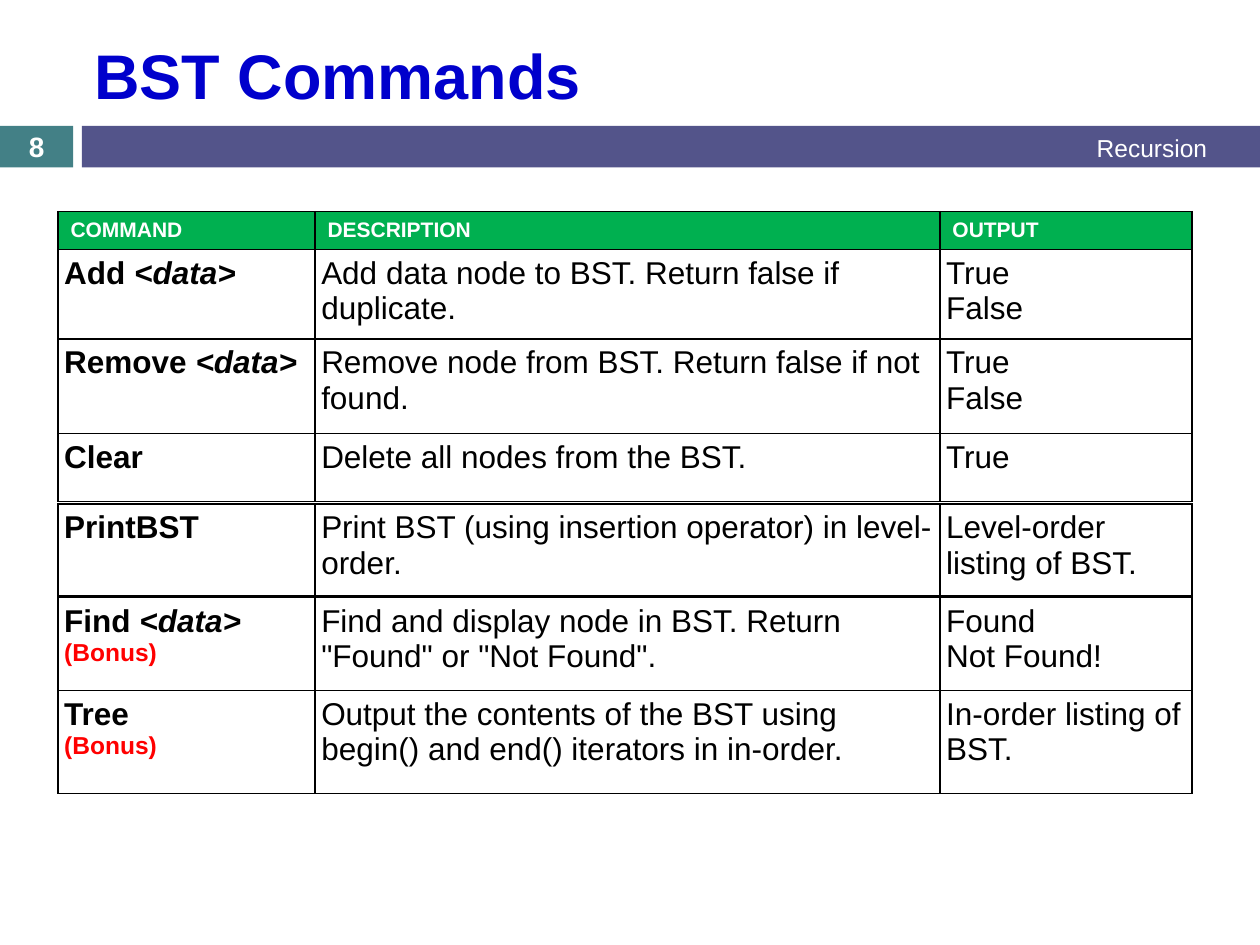
from dataclasses import dataclass

from lxml import etree
from pptx import Presentation
from pptx.dml.color import RGBColor
from pptx.enum import shapes, text
from pptx.oxml import ns
from pptx.util import Inches, Pt


@dataclass(frozen=True)
class Theme:
    """Colours, type sizes and font of the slide."""
    font: str = "Arial"
    title: str = "0000CC"
    teal: str = "438086"
    indigo: str = "53548A"
    green: str = "00B050"
    white: str = "FFFFFF"
    black: str = "000000"
    red: str = "FF0000"
    title_size: int = 36
    body_size: int = 18
    number_size: int = 16
    small_size: int = 14
    header_size: int = 12


THEME = Theme()
COLUMNS = (2.04, 4.96, 2)
HEADINGS = ("COMMAND", "DESCRIPTION", "OUTPUT")
HEADER_HEIGHT = 0.29
# top, row height, command, argument, note, description, output
COMMANDS = (
    (1.68, 0.72, "Add ", "<data>", "",
     "Add data node to BST. Return false if duplicate.", "True \nFalse"),
    (2.69, 0.75, "Remove ", "<data>", "",
     "Remove node from BST. Return false if not found.", "True \nFalse"),
    (3.44, 0.54, "Clear", "", "", "Delete all nodes from the BST.", "True"),
    (4, 0.73, "PrintBST", "", "",
     "Print BST (using insertion operator) in level-order.",
     "Level-order listing of BST."),
    (4.74, 0.74, "Find ", "<data>", "(Bonus)",
     'Find and display node in BST. Return "Found" or "Not Found".',
     "Found \nNot Found!"),
    (5.48, 0.82, "Tree", "", "(Bonus)",
     "Output the contents of the BST using begin() and end() iterators in in-order.",
     "In-order listing of BST."),
)


def style(paragraph, size, color, bold=False, align=text.PP_ALIGN.LEFT):
    """Set the font and alignment of a paragraph."""
    paragraph.alignment = align
    font = paragraph.font
    font.name, font.size, font.bold = THEME.font, Pt(size), bold
    font.color.rgb = RGBColor.from_string(color)


def add_title(slide, left, top, width, height, wording):
    """Place the title placeholder in the given box."""
    title = slide.shapes.title
    title.left, title.top = Inches(left), Inches(top)
    title.width, title.height = Inches(width), Inches(height)
    title.text_frame.text = wording
    title.text_frame.vertical_anchor = text.MSO_ANCHOR.MIDDLE
    style(title.text_frame.paragraphs[0], THEME.title_size, THEME.title, True)


def add_label(slide, left, top, width, height, wording, size, bold, align):
    """Add a line of white text, centred vertically in its box."""
    label = slide.shapes.add_textbox(
        Inches(left), Inches(top), Inches(width), Inches(height))
    frame = label.text_frame
    frame.word_wrap = True
    frame.vertical_anchor = text.MSO_ANCHOR.MIDDLE
    frame.text = wording
    style(frame.paragraphs[0], size, THEME.white, bold, align)


def add_band(slide, left, top, width, height, number, topic):
    """Draw the two-part band with the slide number and the topic."""
    number_width, gap = 0.58, 0.07
    bar_left = left + number_width + gap
    for x, part_width, color in (
            (left, number_width, THEME.teal),
            (bar_left, left + width - bar_left, THEME.indigo)):
        bar = slide.shapes.add_shape(
            shapes.MSO_SHAPE.RECTANGLE,
            Inches(x), Inches(top), Inches(part_width), Inches(height))
        bar.shadow.inherit = False
        bar.fill.solid()
        bar.fill.fore_color.rgb = RGBColor.from_string(color)
        bar.line.fill.background()
    add_label(slide, left + 3.75, top + 0.01, 5.93, height, topic,
              THEME.small_size, False, text.PP_ALIGN.RIGHT)
    add_label(slide, left, top, number_width, height, number,
              THEME.number_size, True, text.PP_ALIGN.CENTER)


def format_cell(cell, fill):
    """Give a cell its fill and thin black borders."""
    properties = cell._tc.get_or_add_tcPr()
    for side in ("a:lnL", "a:lnR", "a:lnT", "a:lnB"):
        line = etree.SubElement(properties, ns.qn(side), w=str(Pt(1)))
        solid = etree.SubElement(line, ns.qn("a:solidFill"))
        etree.SubElement(solid, ns.qn("a:srgbClr"), val=THEME.black)
    cell.fill.solid()
    cell.fill.fore_color.rgb = RGBColor.from_string(fill)


def fill_header(row):
    """Write the column headings."""
    for cell, heading in zip(row.cells, HEADINGS):
        format_cell(cell, THEME.green)
        cell.vertical_anchor = text.MSO_ANCHOR.MIDDLE
        cell.text_frame.text = heading
        style(cell.text_frame.paragraphs[0], THEME.header_size, THEME.white, True)


def fill_command(row, command, argument, note, description, output):
    """Write one command with its description and output."""
    for cell in row.cells:
        format_cell(cell, THEME.white)
        cell.margin_left = cell.margin_right = Inches(0.05)
        cell.margin_top = cell.margin_bottom = Inches(0.05)
    name_cell, *plain_cells = row.cells
    name = name_cell.text_frame.paragraphs[0]
    style(name, THEME.body_size, THEME.black, True)
    name.add_run().text = command
    if argument:
        run = name.add_run()
        run.text = argument
        run.font.italic = True
    if note:
        remark = name_cell.text_frame.add_paragraph()
        remark.text = note
        style(remark, THEME.small_size, THEME.red, True)
    for cell, wording in zip(plain_cells, (description, output)):
        paragraph = cell.text_frame.paragraphs[0]
        paragraph.text = wording
        style(paragraph, THEME.body_size, THEME.black)


def add_command_table(slide, left, top, height, entry, with_header):
    """Add the table of one command, with headings if asked."""
    heights = [HEADER_HEIGHT, height] if with_header else [height]
    table = slide.shapes.add_table(
        len(heights), len(COLUMNS), Inches(left), Inches(top),
        Inches(sum(COLUMNS)), Inches(sum(heights))).table
    table.first_row = table.horz_banding = False
    for column, width in zip(table.columns, COLUMNS):
        column.width = Inches(width)
    for row, row_height in zip(table.rows, heights):
        row.height = Inches(row_height)
    if with_header:
        fill_header(table.rows[0])
    fill_command(table.rows[len(heights) - 1], *entry)


def build():
    """Build and save the slide."""
    deck = Presentation()
    deck.slide_width, deck.slide_height = Inches(10), Inches(7.5)
    slide = deck.slides.add_slide(deck.slide_layouts[5])
    add_band(slide, 0, 1, 10, 0.33, "8", "Recursion")
    add_title(slide, 0.65, 0.19, 8.92, 0.8, "BST Commands")
    for index, (top, height, *entry) in enumerate(COMMANDS):
        add_command_table(slide, 0.46, top, height, entry, index == 0)
    deck.save("out.pptx")


build()
